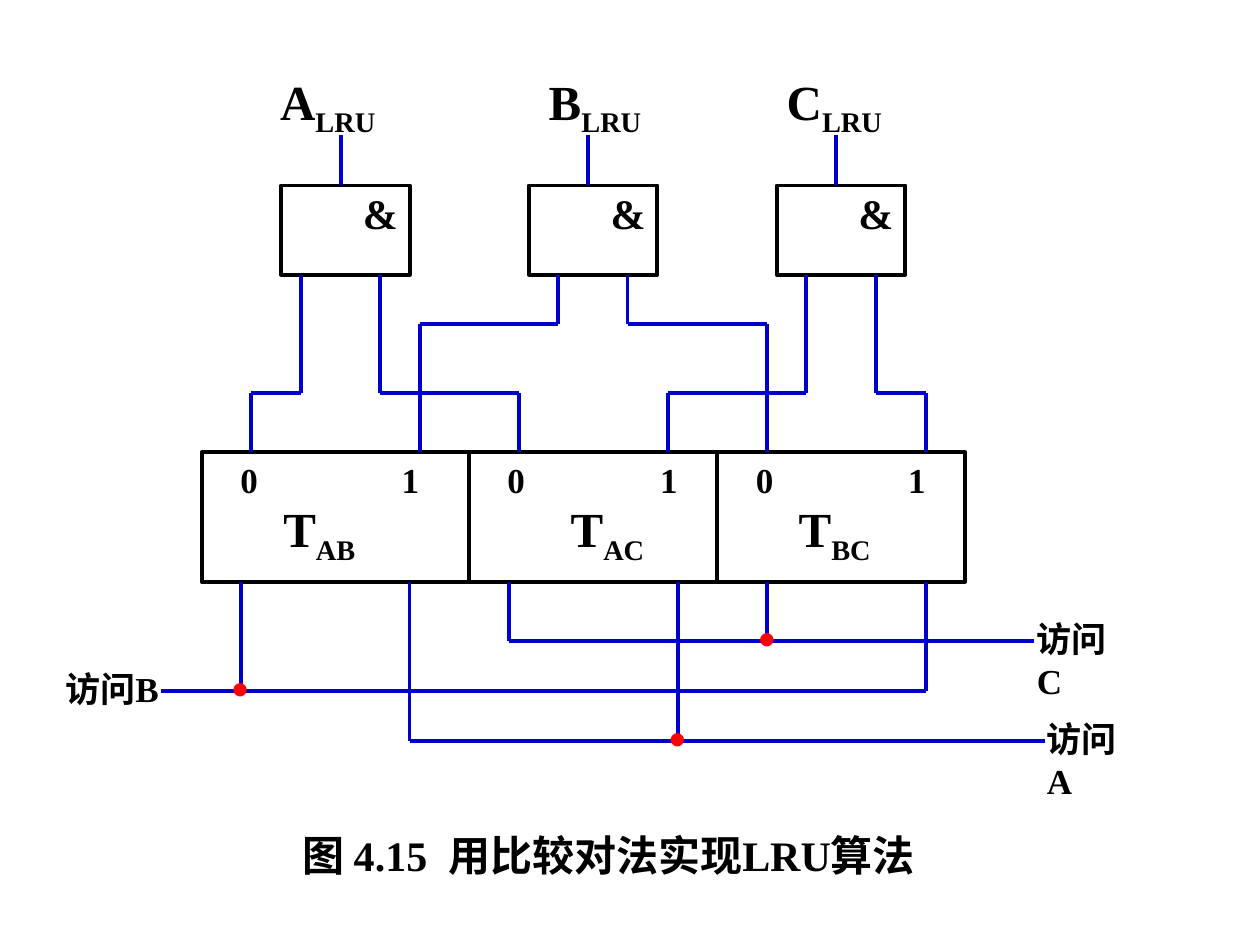
from itertools import pairwise

from lxml.etree import SubElement
from pptx import Presentation
from pptx.dml.color import RGBColor
from pptx.enum.shapes import MSO_CONNECTOR, MSO_SHAPE
from pptx.oxml.ns import qn
from pptx.util import Pt

COLORS = {"ink": "000000", "paper": "FFFFFF", "wire": "0000CC", "joint": "FF0000"}
FONT_FORMAT = {"name": "Times New Roman", "bold": True}
LINE_WIDTH = 2.25

GATE_LEFT, GATE_STEP, GATE_TOP = 160.6, 141.6, 106
GATE_WIDTH, GATE_HEIGHT = 73.5, 51
GATE_BOTTOM = GATE_TOP + GATE_HEIGHT
CELL_EDGES = (115.2, 267.8, 409.7, 551.5)
REGISTER_TOP, REGISTER_BOTTOM = 258.5, 332.4
HIGH_BEND, LOW_BEND = 185, 224.6
BUS = {"C": 366.5, "B": 394.8, "A": 423.4}


def color(key):
    return RGBColor.from_string(COLORS[key])


def add_box(slide, left, top, width, height):
    box = slide.shapes.add_shape(
        MSO_SHAPE.RECTANGLE, Pt(left), Pt(top), Pt(width), Pt(height))
    box.shadow.inherit = False
    box.fill.solid()
    box.fill.fore_color.rgb = color("paper")
    box.line.color.rgb = color("ink")
    box.line.width = Pt(LINE_WIDTH)


def add_route(slide, points, key="wire"):
    for start, end in pairwise(points):
        segment = slide.shapes.add_connector(
            MSO_CONNECTOR.STRAIGHT, *map(Pt, (*start, *end)))
        segment.line.color.rgb = color(key)
        segment.line.width = Pt(LINE_WIDTH)
        SubElement(segment._element.spPr, qn("a:effectLst"))


def add_label(slide, left, top, width, height, size, text, subscript="", key="ink"):
    label = slide.shapes.add_textbox(Pt(left), Pt(top), Pt(width), Pt(height))
    label.text_frame.word_wrap = True
    paragraph = label.text_frame.paragraphs[0]
    for part in filter(None, (text, subscript)):
        run = paragraph.add_run()
        run.text = part
        for attribute, value in FONT_FORMAT.items():
            setattr(run.font, attribute, value)
        run.font.size = Pt(size)
        run.font.color.rgb = color(key)
        if part == subscript:
            run._r.get_or_add_rPr().set("baseline", "-25000")


def add_gates(slide):
    outputs = (("A", 153), ("B", 306.5), ("C", 442.5))
    for index, (name, label_left) in enumerate(outputs):
        left = GATE_LEFT + index * GATE_STEP
        add_box(slide, left, GATE_TOP, GATE_WIDTH, GATE_HEIGHT)
        add_label(slide, left + 39.6, 103.7, 34.6, 36, 24, "&")
        add_route(slide, [(left + 34, GATE_TOP), (left + 34, 77)])
        add_label(slide, label_left, 37.4, 78, 41, 28, name, "LRU")


def add_register(slide):
    add_box(slide, CELL_EDGES[0], REGISTER_TOP, CELL_EDGES[-1] - CELL_EDGES[0],
            REGISTER_BOTTOM - REGISTER_TOP)
    for edge in CELL_EDGES[1:-1]:
        add_route(slide, [(edge, REGISTER_TOP), (edge, REGISTER_BOTTOM)], "ink")
    cells = (("AB", 222.5, 154.8), ("AC", 370.1, 319), ("BC", 511.9, 449.3))
    for edge, (pair, one_left, name_left) in zip(CELL_EDGES, cells):
        for digit, left in (("0", edge + 15.1), ("1", one_left)):
            add_label(slide, left, REGISTER_TOP, 24.5, 31, 20, digit)
        add_label(slide, name_left, 281.5, 60.5, 41, 28, "T", pair)


def add_gate_wires(slide):
    wires = (
        (172.1, LOW_BEND, 143.3), (217.4, LOW_BEND, 296.6),
        (319, HIGH_BEND, 239.8), (358.6, HIGH_BEND, 438.5),
        (460.8, LOW_BEND, 381.6), (500.4, LOW_BEND, 529.2),
    )
    for gate_x, bend, cell_x in wires:
        add_route(slide, [(gate_x, GATE_BOTTOM), (gate_x, bend),
                          (cell_x, bend), (cell_x, REGISTER_TOP)])


def add_accesses(slide):
    accesses = (
        ("C", 290.9, 591.1, 438.5, 585.4),
        ("B", 529.2, 92.2, 137.5, 30.2),
        ("A", 234, 596.9, 387.4, 591.1),
    )
    for name, corner_x, end_x, joint_x, label_left in accesses:
        level = BUS[name]
        add_route(slide, [(corner_x, REGISTER_BOTTOM), (corner_x, level), (end_x, level)])
        add_route(slide, [(joint_x, REGISTER_BOTTOM), (joint_x, level)])
        add_label(slide, joint_x - 12.2, level - 22.8, 24.5, 41, 28, "•", key="joint")
        add_label(slide, label_left, level - 17, 68.5, 31, 20, f"访问{name}")


def main():
    presentation = Presentation()
    presentation.slide_width, presentation.slide_height = Pt(720), Pt(540)
    slide = presentation.slides.add_slide(presentation.slide_layouts[6])
    add_gates(slide)
    add_register(slide)
    add_gate_wires(slide)
    add_accesses(slide)
    add_label(slide, 165.6, 470.2, 366.5, 36, 24, "图 4.15  用比较对法实现LRU算法")
    presentation.save("out.pptx")


if __name__ == "__main__":
    main()
